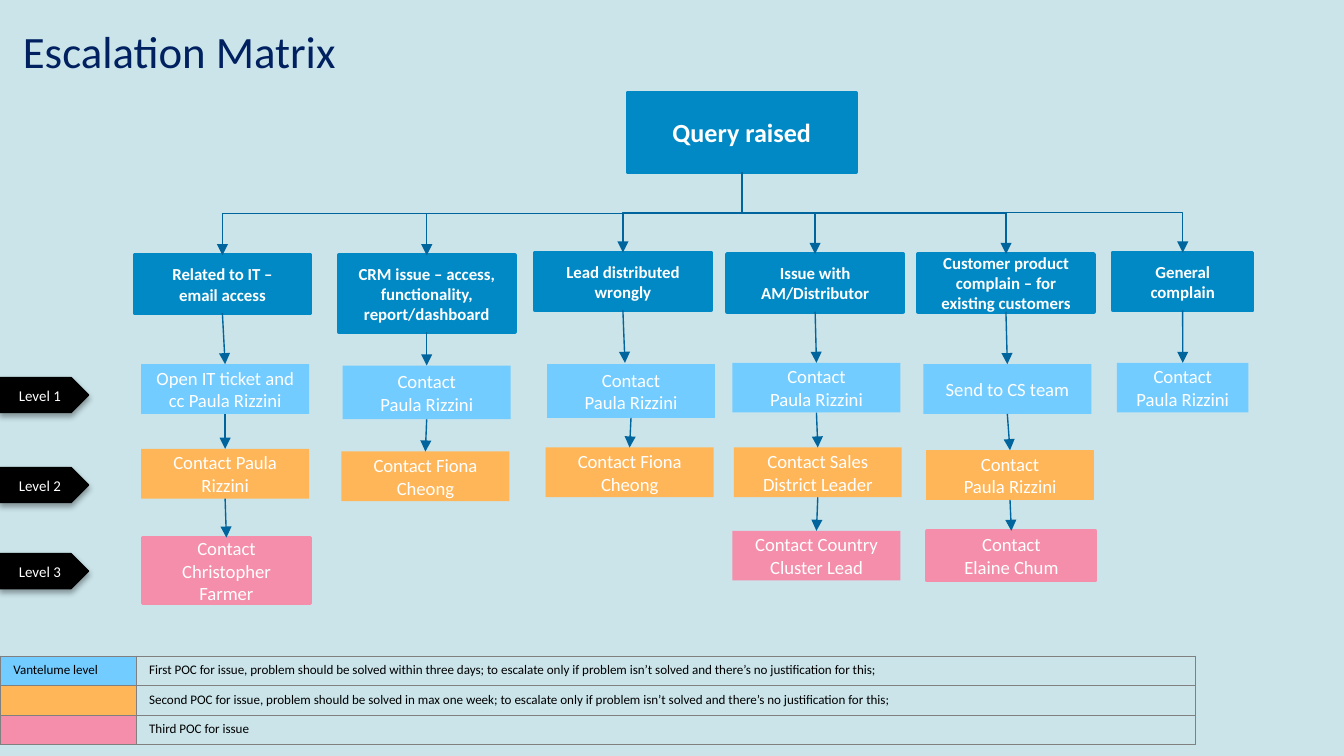
from dataclasses import dataclass
from itertools import pairwise
from typing import Any

from lxml import etree
from pptx import Presentation
from pptx.dml.color import RGBColor
from pptx.enum.shapes import MSO_CONNECTOR, MSO_SHAPE
from pptx.enum.text import MSO_ANCHOR, MSO_AUTO_SIZE, PP_ALIGN
from pptx.oxml.ns import qn
from pptx.util import Inches, Pt

RECT, PLATE = MSO_SHAPE.RECTANGLE, MSO_SHAPE.PENTAGON
STRAIGHT, ELBOW = MSO_CONNECTOR.STRAIGHT, MSO_CONNECTOR.ELBOW
TOP, MIDDLE = MSO_ANCHOR.TOP, MSO_ANCHOR.MIDDLE
LEFT, CENTER = PP_ALIGN.LEFT, PP_ALIGN.CENTER
FIT = MSO_AUTO_SIZE.NONE
BOTTOM_SIDE, TOP_SIDE = 2, 0


@dataclass(frozen=True)
class Theme:
    font: str = "Calibri"
    back: str = "CAE4EA"
    navy: str = "002060"
    blue: str = "0089C4"
    wire: str = "00649D"
    white: str = "FFFFFF"
    black: str = "000000"
    grid: str = "808080"
    levels: tuple[str, ...] = ("73CCFF", "FFB659", "F48EAA")
    title: float = 24
    root: float = 14
    head: float = 9
    step: float = 10
    tag: float = 8
    cell: float = 7


@dataclass(frozen=True)
class Box:
    text: str
    x: float
    y: float
    w: float = 1.25
    h: float = 0.37
    edge: bool = False  # outlined in its own fill colour


@dataclass(frozen=True)
class Branch:
    head: Box
    steps: tuple[Box, ...]
    tip: tuple[float, float] | None = None  # free end of the first arrow


THEME = Theme()
PAULA = "Contact\nPaula Rizzini"
FIONA = "Contact Fiona Cheong"
ROOT = Box("Query raised", 4.67, 0.69, 1.7, 0.59, True)


def head(text: str, x: float, y: float, w: float = 1.31, h: float = 0.43) -> Box:
    return Box(text, x, y, w, h, True)


BRANCHES = (
    Branch(head("Related to IT –\nemail access", 1, 1.9), (
        Box("Open IT ticket and cc Paula Rizzini", 1.05, 2.71),
        Box("Contact Paula Rizzini", 1.05, 3.34),
        Box("Contact Christopher Farmer", 1.06, 4, h=0.49, edge=True))),
    Branch(head("CRM issue – access, functionality, report/dashboard", 2.52, 1.9, h=0.57), (
        Box(PAULA, 2.55, 2.72, h=0.4),
        Box(FIONA, 2.54, 3.36))),
    Branch(head("Lead distributed wrongly", 3.98, 1.88), (
        Box(PAULA, 4.07, 2.71, h=0.4),
        Box(FIONA, 4.06, 3.33)), (4.65, 2.7)),
    Branch(head("Issue with AM/Distributor", 5.41, 1.89), (
        Box(PAULA, 5.45, 2.7),
        Box("Contact Sales District Leader", 5.46, 3.33),
        Box("Contact Country Cluster Lead", 5.45, 3.95))),
    Branch(head("Customer product complain – for existing customers", 6.83, 1.89), (
        Box("Send to CS team", 6.87, 2.71),
        Box(PAULA, 6.89, 3.35),
        Box("Contact\nElaine Chum", 6.9, 3.95, edge=True))),
    Branch(head("General complain", 8.28, 1.88, 1.04), (
        Box(PAULA, 8.31, 2.7, 0.98),)),
)
TAGS = (2.81, 3.48, 4.12)
LEGEND = (
    ("Vantelume level", "First POC for issue, problem should be solved within three days; "
     "to escalate only if problem isn’t solved and there’s no justification for this;"),
    ("", "Second POC for issue, problem should be solved in max one week; "
     "to escalate only if problem isn’t solved and there’s no justification for this;"),
    ("", "Third POC for issue"),
)


def rgb(code: str) -> RGBColor:
    return RGBColor.from_string(code)


def apply(item: Any, form: dict[str, Any]) -> None:
    for name, value in form.items():
        setattr(item, name, value)


def write(frame: Any, text: str, size: float, color: str,
          align: Any = CENTER, bold: bool = False) -> None:
    frame.text = text
    for para in frame.paragraphs:
        para.alignment = align
        for run in para.runs:
            apply(run.font, {"name": THEME.font, "size": Pt(size), "bold": bold})
            run.font.color.rgb = rgb(color)


def add_box(slide: Any, box: Box, fill: str, size: float,
            bold: bool = False, kind: Any = RECT, edge: float = 2) -> Any:
    shape = slide.shapes.add_shape(kind, *map(Inches, (box.x, box.y, box.w, box.h)))
    shape.fill.solid()
    shape.fill.fore_color.rgb = rgb(fill)
    if box.edge:
        shape.line.color.rgb = rgb(fill)
        shape.line.width = Pt(edge)
    else:
        shape.line.fill.background()
    shape.shadow.inherit = False
    apply(shape.text_frame, {"word_wrap": True, "vertical_anchor": MIDDLE})
    write(shape.text_frame, box.text, size, THEME.white, bold=bold)
    return shape


def add_wire(slide: Any, kind: Any, start: Any, end: Any,
             tip: tuple[float, float] | None = None) -> Any:
    wire = slide.shapes.add_connector(kind, 0, 0, *map(Inches, tip or (0, 0)))
    wire.begin_connect(start, BOTTOM_SIDE)
    if tip is None:
        wire.end_connect(end, TOP_SIDE)
    wire.line.color.rgb = rgb(THEME.wire)
    wire.line.width = Pt(0.75)
    props = wire.element.spPr
    etree.SubElement(props.find(qn("a:ln")), qn("a:tailEnd"), type="triangle")
    etree.SubElement(props, qn("a:effectLst"))
    return wire


def add_bend(slide: Any, start: Any, end: Any) -> None:
    """Elbow that leaves downward: a level one turned by a quarter."""
    wire = add_wire(slide, ELBOW, start, end)
    x1, y1 = start.left + start.width // 2, start.top + start.height
    x2, y2 = end.left + end.width // 2, end.top
    wide, drop = abs(x2 - x1), y2 - y1
    apply(wire, {"left": (x1 + x2 - drop) // 2, "top": (y1 + y2 - wide) // 2,
                 "width": drop, "height": wide})
    right = x2 > x1
    frame = wire.element.spPr.find(qn("a:xfrm"))
    for name, value in {"rot": (270 if right else 90) * 60000,
                        "flipH": int(right), "flipV": 0}.items():
        frame.set(name, str(value))


def add_tag(slide: Any, box: Box) -> None:
    shape = add_box(slide, box, THEME.black, THEME.tag, kind=PLATE, edge=0.75)
    glow = etree.SubElement(shape.element.spPr.find(qn("a:effectLst")), qn("a:outerShdw"),
                            blurRad=str(Pt(3.1)), dist=str(Pt(1.8)), dir=str(90 * 60000),
                            algn="t", rotWithShape="0")
    color = etree.SubElement(glow, qn("a:srgbClr"), val=THEME.black)
    etree.SubElement(color, qn("a:alpha"), val="35000")


def add_legend(slide: Any) -> None:
    table = slide.shapes.add_table(3, 2, *map(Inches, (0, 4.88, 8.88, 0.66))).table
    apply(table, {"first_row": False, "horz_banding": False})
    for col, width in zip(table.columns, (1.01, 7.88)):
        col.width = Inches(width)
    for row, texts, fill in zip(table.rows, LEGEND, THEME.levels):
        row.height = Inches(0.22)
        for cell, text, tint in zip(row.cells, texts, (fill, None)):
            write(cell.text_frame, text, THEME.cell, THEME.black, LEFT)
            if not text:
                etree.SubElement(cell.text_frame.paragraphs[0]._p, qn("a:endParaRPr"),
                                 sz=str(int(THEME.cell * 100)))
            props = cell._tc.get_or_add_tcPr()
            for side in ("lnL", "lnR", "lnT", "lnB"):
                edge = etree.SubElement(props, qn(f"a:{side}"), w=str(Pt(0.25)))
                paint = etree.SubElement(edge, qn("a:solidFill"))
                etree.SubElement(paint, qn("a:srgbClr"), val=THEME.grid)
            if tint:
                cell.fill.solid()
                cell.fill.fore_color.rgb = rgb(tint)
            else:
                cell.fill.background()


def main() -> None:
    deck = Presentation()
    apply(deck, {"slide_width": Inches(10), "slide_height": Inches(10 * 9 / 16)})
    slide = deck.slides.add_slide(deck.slide_layouts[5])
    slide.background.fill.solid()
    slide.background.fill.fore_color.rgb = rgb(THEME.back)

    # Title
    title = slide.shapes.title
    apply(title, {"left": Inches(0.17), "top": Inches(0.18),
                  "width": Inches(8.71), "height": Inches(0.76)})
    apply(title.text_frame, {"margin_left": 0, "margin_top": 0, "margin_right": 0,
                             "margin_bottom": 0, "vertical_anchor": TOP, "auto_size": FIT})
    write(title.text_frame, "Escalation Matrix", THEME.title, THEME.navy, LEFT)

    # Query and its branches
    root = add_box(slide, ROOT, THEME.blue, THEME.root, True)
    for branch in BRANCHES:
        chain = [add_box(slide, branch.head, THEME.blue, THEME.head, True)]
        chain += [add_box(slide, box, fill, THEME.step)
                  for box, fill in zip(branch.steps, THEME.levels)]
        add_bend(slide, root, chain[0])
        for rank, (start, end) in enumerate(pairwise(chain)):
            add_wire(slide, STRAIGHT, start, end, None if rank else branch.tip)

    # Level tags and legend
    for rank, y in enumerate(TAGS, 1):
        add_tag(slide, Box(f"Level {rank}", 0, y, 0.66, 0.26, True))
    add_legend(slide)
    deck.save("out.pptx")


if __name__ == "__main__":
    main()
